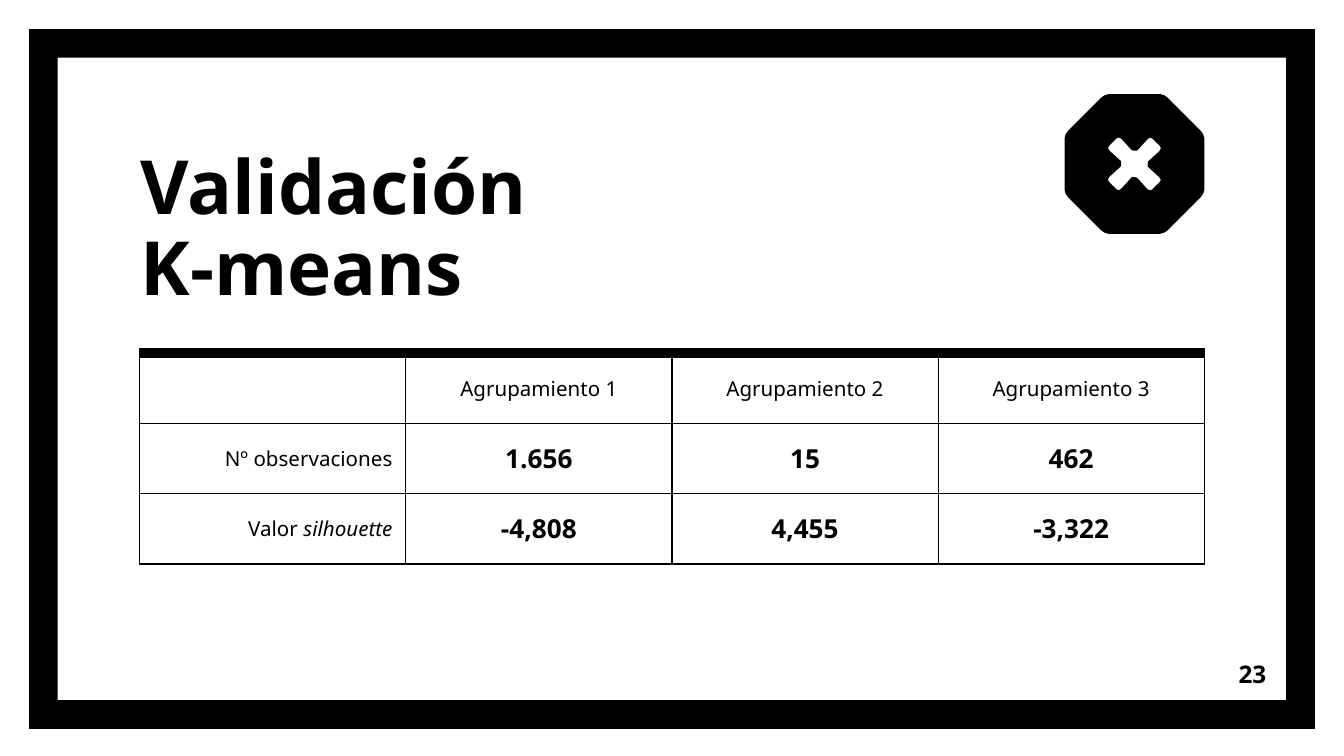
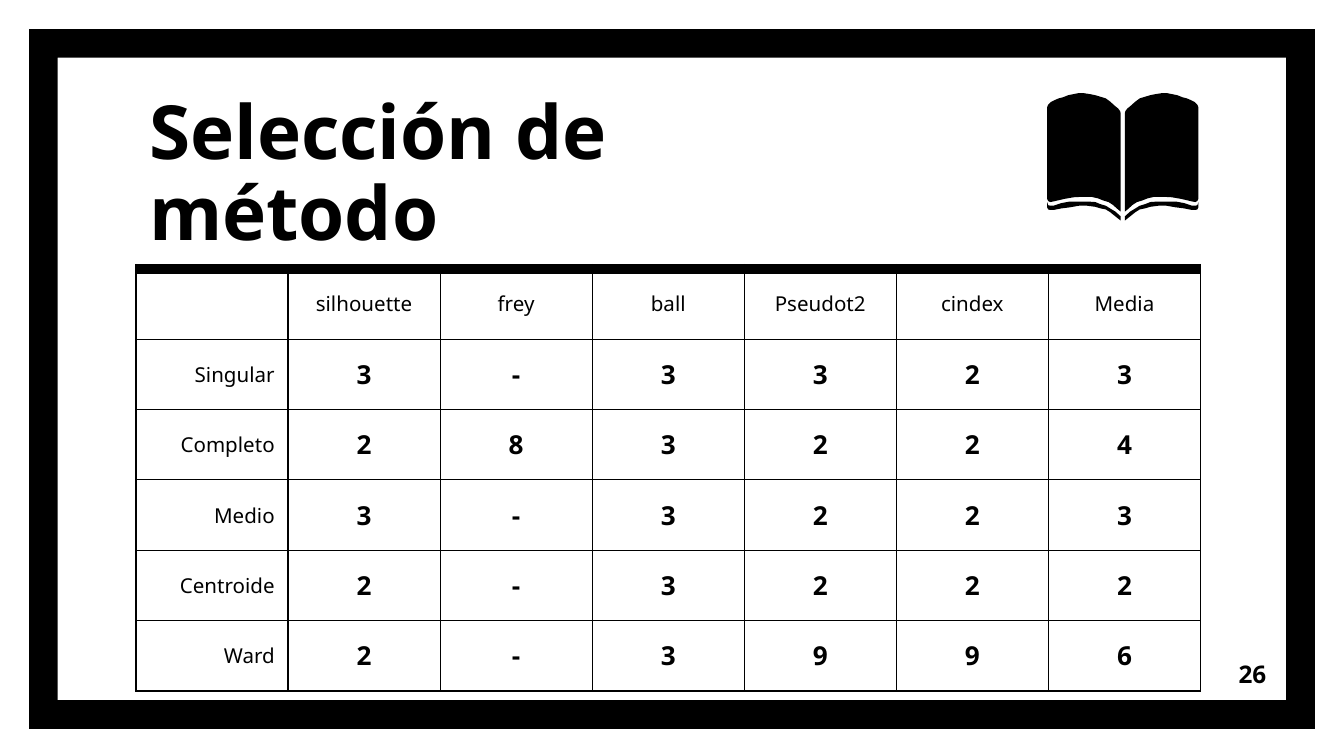
from lxml.etree import SubElement
from pptx import Presentation
from pptx.dml.color import RGBColor
from pptx.enum.shapes import MSO_SHAPE
from pptx.enum.text import MSO_ANCHOR, PP_ALIGN
from pptx.oxml.ns import qn
from pptx.util import Cm, Pt

BLACK = RGBColor(0x00, 0x00, 0x00)
WHITE = RGBColor(0xFF, 0xFF, 0xFF)
FONT = "Noto Sans"
TABLE_WIDTH = 20.12
ROW_HEIGHT = 1.33

SLIDES = [
    {
        "title": "Validación\vK-means",
        "title_at": (2.41, 2.36),
        "table_at": (2.64, 6.67),
        "number": "23",
        "rows": [
            ["", "Agrupamiento 1", "Agrupamiento 2", "Agrupamiento 3"],
            ["Nº observaciones", "1.656", "15", "462"],
            ["Valor *silhouette*", "-4,808", "4,455", "-3,322"],
        ],
    },
    {
        "title": "Selección de método",
        "title_at": (2.57, 1.32),
        "table_at": (2.57, 5.08),
        "number": "26",
        "rows": [
            ["", "silhouette", "frey", "ball", "Pseudot2", "cindex", "Media"],
            ["Singular", "3", "-", "3", "3", "2", "3"],
            ["Completo", "2", "8", "3", "2", "2", "4"],
            ["Medio", "3", "-", "3", "2", "2", "3"],
            ["Centroide", "2", "-", "3", "2", "2", "2"],
            ["Ward", "2", "-", "3", "9", "9", "6"],
        ],
    },
]

OCTAGON_CORNER = [(0.49, -1.32), (0.56, -1.3), (0.62, -1.26),
                  (1.26, -0.62), (1.3, -0.56), (1.32, -0.49)]
CROSS_ARM = [(0.05, -0.25), (0.25, -0.47), (0.3, -0.5), (0.35, -0.47),
             (0.48, -0.34), (0.5, -0.3), (0.48, -0.25), (0.26, -0.05), (0.25, 0)]
BOOK_PAGE = [(0.75, 0), (0.83, 0), (0.93, 0.02), (1.03, 0.04), (1.13, 0.08),
             (1.21, 0.1), (1.28, 0.13), (1.36, 0.17), (1.41, 0.22), (1.43, 0.27),
             (1.43, 1.96), (1.43, 2), (1.41, 2.04), (1.37, 2.06), (1.31, 2.05),
             (1.23, 2.03), (1.1, 2), (0.93, 1.97), (0.75, 1.96), (0.6, 1.96),
             (0.47, 1.99), (0.37, 2.03), (0.27, 2.06), (0.19, 2.11), (0.09, 2.2),
             (0.04, 2.24), (0.04, 0.38), (0.05, 0.34), (0.09, 0.29), (0.14, 0.25),
             (0.24, 0.16), (0.32, 0.1), (0.42, 0.07), (0.52, 0.04), (0.62, 0.02)]
BOOK_EDGE = [(1.43, 2.06), (1.43, 2.16), (1.41, 2.2), (1.37, 2.21), (1.31, 2.21),
             (1.16, 2.18), (1, 2.16), (0.83, 2.13), (0.67, 2.13), (0.52, 2.15),
             (0.42, 2.18), (0.32, 2.2), (0.24, 2.25), (0.14, 2.33), (0.04, 2.41),
             (0.04, 2.33), (0.14, 2.24), (0.24, 2.18), (0.32, 2.13), (0.42, 2.1),
             (0.52, 2.06), (0.67, 2.05), (1, 2.05), (1.16, 2.08), (1.31, 2.13),
             (1.37, 2.13), (1.41, 2.12)]


def add_text(s, text, left, top, width, height, size, anchor, align, spacing):
    tf = s.shapes.add_textbox(Cm(left), Cm(top), Cm(width), Cm(height)).text_frame
    tf.word_wrap = True
    tf.vertical_anchor = anchor
    tf.margin_left = tf.margin_right = tf.margin_top = tf.margin_bottom = Cm(0.25)
    p = tf.paragraphs[0]
    p.text = text
    p.alignment = align
    p.line_spacing = spacing
    p.font.name = FONT
    p.font.size = Pt(size)
    p.font.bold = True
    p.font.color.rgb = BLACK


def add_outline(s, x, y, *contours):
    contours = [[(Cm(x + dx), Cm(y + dy)) for dx, dy in c] for c in contours]
    fb = s.shapes.build_freeform(*contours[0][0])
    fb.add_line_segments(contours[0][1:])
    for c in contours[1:]:
        fb.move_to(*c[0])
        fb.add_line_segments(c[1:])
    sp = fb.convert_to_shape()
    sp.shadow.inherit = False
    sp.fill.solid()
    sp.fill.fore_color.rgb = BLACK
    sp.line.fill.background()


prs = Presentation()
prs.slide_width, prs.slide_height = Cm(25.4), Cm(14.29)

for data in SLIDES:
    s = prs.slides.add_slide(prs.slide_layouts[6])
    s.background.fill.solid()
    s.background.fill.fore_color.rgb = WHITE

    sp = s.shapes.add_shape(MSO_SHAPE.FRAME, Cm(0.55), Cm(0.55), Cm(24.3), Cm(13.23))
    sp.adjustments[0] = 0.041
    sp.shadow.inherit = False
    sp.fill.solid()
    sp.fill.fore_color.rgb = BLACK
    sp.line.fill.background()

    add_text(s, data["title"], *data["title_at"], 14.15, 3.78, 40,
             MSO_ANCHOR.BOTTOM, PP_ALIGN.LEFT, 0.9)

    rows = data["rows"]
    left, top = data["table_at"]
    table = s.shapes.add_table(len(rows), len(rows[0]), Cm(left), Cm(top),
                               Cm(TABLE_WIDTH), Cm(ROW_HEIGHT * len(rows))).table
    table.first_row = table.horz_banding = False
    for column in table.columns:
        column.width = Cm(TABLE_WIDTH / len(rows[0]))
    for i, row in enumerate(rows):
        table.rows[i].height = Cm(ROW_HEIGHT)
        for j, text in enumerate(row):
            cell = table.cell(i, j)
            cell.vertical_anchor = MSO_ANCHOR.MIDDLE
            cell.margin_left = cell.margin_right = Cm(0.25)
            cell.margin_top = cell.margin_bottom = Cm(0.18)
            tc_pr = cell._tc.get_or_add_tcPr()
            for side in ("lnL", "lnR", "lnT", "lnB"):
                width = Pt(6) if side == "lnT" and i == 0 else Pt(0.75)
                ln = SubElement(tc_pr, qn(f"a:{side}"), w=str(width))
                fill = SubElement(ln, qn("a:solidFill"))
                SubElement(fill, qn("a:srgbClr"), val=str(BLACK))
            cell.fill.background()

            is_value = i > 0 and j > 0
            p = cell.text_frame.paragraphs[0]
            p.alignment = PP_ALIGN.RIGHT if i > 0 and j == 0 else PP_ALIGN.CENTER
            p.font.name = FONT
            p.font.size = Pt(14 if is_value else 11)
            p.font.bold = is_value
            p.font.color.rgb = BLACK
            for k, part in enumerate(text.split("*")):
                if part:
                    r = p.add_run()
                    r.text = part
                    if k % 2:
                        r.font.italic = True

    add_text(s, data["number"], 22.66, 12.19, 1.52, 1.09, 13,
             MSO_ANCHOR.MIDDLE, PP_ALIGN.RIGHT, 1.0)

octagon, cross = [], []
for cos, sin in [(1, 0), (0, 1), (-1, 0), (0, -1)]:
    for contour, quarter in [(octagon, OCTAGON_CORNER), (cross, CROSS_ARM)]:
        contour += [(x * cos - y * sin, x * sin + y * cos) for x, y in quarter]
add_outline(prs.slides[0], 21.44, 3.1, octagon, cross)

for part in (BOOK_EDGE, BOOK_PAGE):
    for side in (-1, 1):
        add_outline(prs.slides[1], 21.22, 1.76, [(side * dx, dy) for dx, dy in part])

prs.save("out.pptx")
